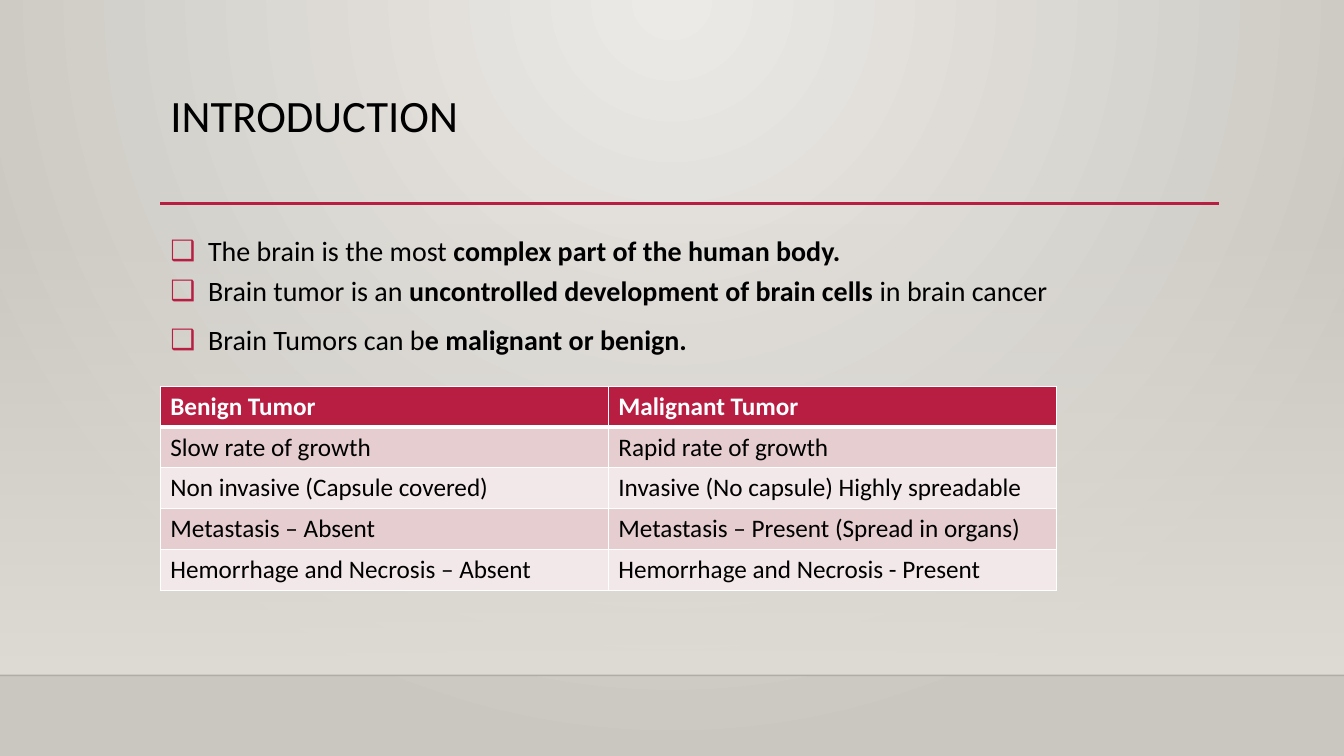
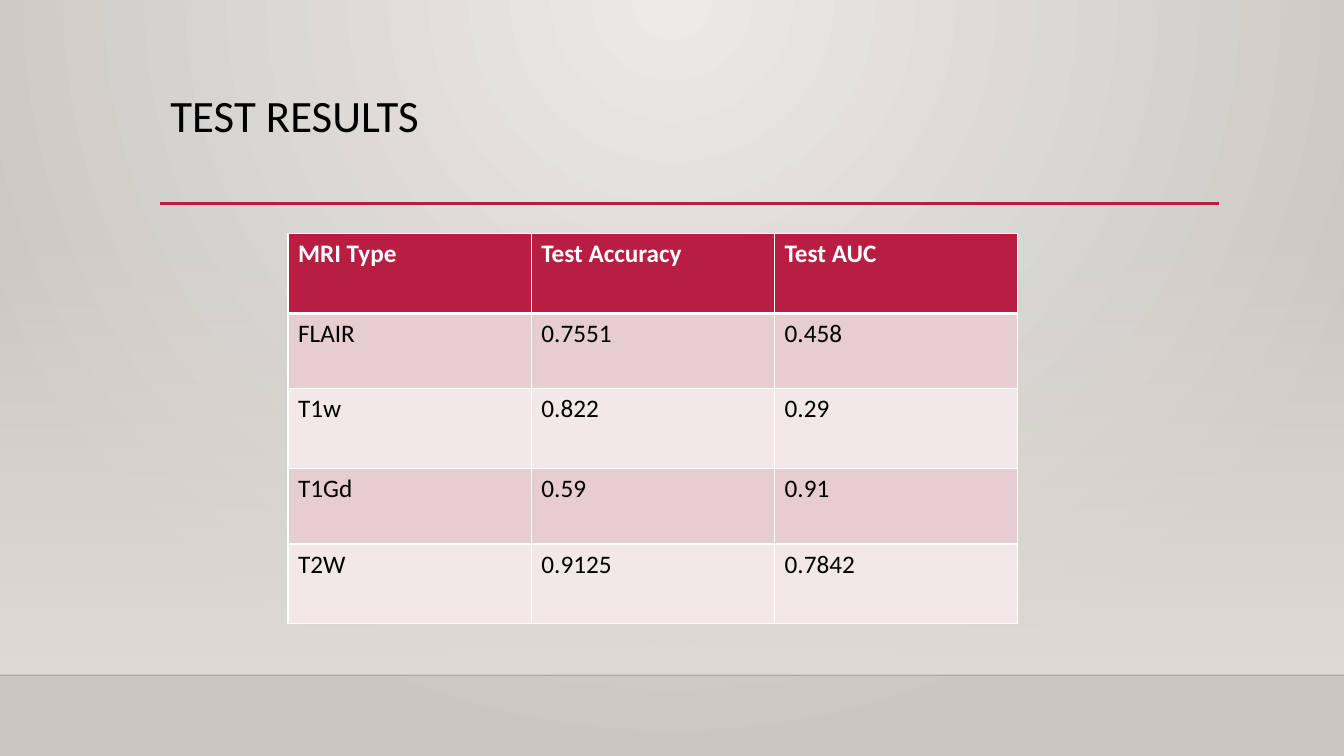
from dataclasses import dataclass

from lxml import etree
from pptx import Presentation
from pptx.dml.color import RGBColor
from pptx.enum.shapes import MSO_CONNECTOR, MSO_SHAPE
from pptx.enum.text import MSO_ANCHOR, MSO_AUTO_SIZE, PP_ALIGN
from pptx.oxml.ns import qn
from pptx.util import Cm, Pt

LINE = MSO_CONNECTOR.STRAIGHT
RECT = MSO_SHAPE.RECTANGLE
TOP = MSO_ANCHOR.TOP
FIXED = MSO_AUTO_SIZE.NONE
LEFT = PP_ALIGN.LEFT


@dataclass(frozen=True)
class Theme:
    # Colours
    black: str = "000000"
    white: str = "FFFFFF"
    red: str = "B71E42"
    rose: str = "E6CDCF"
    blush: str = "F3E8E9"
    light: str = "ECEAE7"
    stone: str = "CAC7C1"
    sand: str = "DFDBD5"
    edge: str = "000001"
    # Type
    font: str = "Calibri"
    title: int = 32
    body: int = 20
    cell: int = 18
    # Page, in centimetres
    wide: float = 33.87
    high: float = 19.05
    left: float = 4.04
    span: float = 26.67
    floor: float = 17.02


def rgb(code):
    return RGBColor.from_string(code)


def place(shape, x, y, w, h):
    shape.left, shape.top, shape.width, shape.height = Cm(x), Cm(y), Cm(w), Cm(h)


def blend(fill, *codes):
    fill.gradient()
    for stop, code in zip(fill.gradient_stops, codes):
        stop.color.rgb = rgb(code)


def fade(shape, share):
    """Set the opacity, in percent, of the first colour in a shape."""
    color = next(shape.element.iter(qn("a:srgbClr")))
    etree.SubElement(color, qn("a:alpha"), val=str(share * 1000))


class Deck:
    def __init__(self, theme):
        self.theme = theme
        self.prs = Presentation()
        self.prs.slide_width = Cm(theme.wide)
        self.prs.slide_height = Cm(theme.high)
        self.slide = None

    # Shared page: background, floor band, rule and title
    def page(self, title, layout):
        t = self.theme
        self.slide = self.prs.slides.add_slide(self.prs.slide_layouts[layout])
        self.glow()
        self.band(5.61, t.floor)
        self.line(0, t.wide, t.floor, t.edge, 1, 20)
        self.line(t.left, 30.73, 5.13, t.red, 2.5)
        tree = self.slide.shapes.element
        for holder in self.slide.placeholders:
            tree.append(holder.element)
        para = self.frame(self.slide.shapes.title, 2.24, 2.92).paragraphs[0]
        para.alignment, para.line_spacing = LEFT, 0.9
        self.run(para, title, t.title)

    def glow(self):
        blend(self.slide.background.fill, self.theme.light, self.theme.stone)
        lin = next(self.slide.element.iter(qn("a:lin")))
        ring = etree.Element(qn("a:path"), path="circle")
        etree.SubElement(ring, qn("a:fillToRect"),
                         l="43000", t="0", r="43000", b="100000")
        lin.getparent().replace(lin, ring)

    def band(self, top, base):
        t = self.theme
        band = self.slide.shapes.add_shape(
            RECT, 0, Cm(top), Cm(t.wide), Cm(base - top))
        band.shadow.inherit = False
        band.line.fill.background()
        blend(band.fill, t.sand, t.sand)
        band.fill.gradient_angle = 270
        fade(band, 0)

    def line(self, x1, x2, y, color, width, share=100):
        line = self.slide.shapes.add_connector(LINE, Cm(x1), Cm(y), Cm(x2), Cm(y))
        line.line.color.rgb = rgb(color)
        line.line.width = Pt(width)
        etree.SubElement(line.element.spPr, qn("a:effectLst"))
        if share < 100:
            fade(line, share)

    # Text
    def frame(self, holder, y, h):
        place(holder, self.theme.left, y, self.theme.span, h)
        frame = holder.text_frame
        frame.word_wrap, frame.auto_size = True, FIXED
        frame.vertical_anchor = TOP
        return frame

    def run(self, para, text, size, bold=False, color=None):
        run = para.add_run()
        run.text = text
        font = run.font
        font.name, font.size, font.bold = self.theme.font, Pt(size), bold
        font.color.rgb = rgb(color or self.theme.black)

    def list(self, items, y, h):
        """Each item is a gap above in points and its (text, bold) runs."""
        frame = self.frame(self.slide.placeholders[1], y, h)
        for i, (gap, parts) in enumerate(items):
            para = frame.add_paragraph() if i else frame.paragraphs[0]
            para.line_spacing, para.space_before = 1.2, Pt(gap)
            self.mark(para)
            for text, bold in parts:
                self.run(para, text, self.theme.body, bold)

    def mark(self, para):
        props = para._p.get_or_add_pPr()
        props.set("marL", str(Cm(0.95)))
        props.set("indent", str(-Cm(0.95)))
        color = etree.SubElement(props, qn("a:buClr"))
        etree.SubElement(color, qn("a:srgbClr"), val=self.theme.red)
        etree.SubElement(props, qn("a:buChar"), char="❑")

    # Tables
    def table(self, rows, x, y, wide, highs):
        t = self.theme
        count = len(rows[0])
        table = self.slide.shapes.add_table(
            len(rows), count, Cm(x), Cm(y), Cm(wide * count), Cm(sum(highs))).table
        for col in table.columns:
            col.width = Cm(wide)
        for r, (row, high) in enumerate(zip(rows, highs)):
            table.rows[r].height = Cm(high)
            head = r == 0
            fill = t.red if head else (t.blush, t.rose)[r % 2]
            for c, text in enumerate(row):
                cell = table.cell(r, c)
                self.rim(cell, L=1, R=1, T=3 if r == 1 else 1, B=3 if head else 1)
                cell.fill.solid()
                cell.fill.fore_color.rgb = rgb(fill)
                self.run(cell.text_frame.paragraphs[0], text, t.cell, head,
                         t.white if head else t.black)

    def rim(self, cell, **sides):
        props = cell._tc.get_or_add_tcPr()
        for side, width in sides.items():
            edge = etree.SubElement(props, qn("a:ln" + side), w=str(Pt(width)))
            fill = etree.SubElement(edge, qn("a:solidFill"))
            etree.SubElement(fill, qn("a:srgbClr"), val=self.theme.white)


def main():
    theme = Theme()
    deck = Deck(theme)

    # Introduction
    deck.page("INTRODUCTION", 1)
    deck.list([
        (0, [("The brain is the most", False),
             (" complex part of the human body.", True)]),
        (0, [("Brain tumor is an ", False),
             ("uncontrolled development of brain cells", True),
             (" in brain cancer", False)]),
        (6, [("Brain Tumors can b", False),
             ("e malignant or benign.", True)]),
    ], 5.59, 9.58)
    deck.table([
        ("Benign Tumor", "Malignant Tumor"),
        ("Slow rate of growth", "Rapid rate of growth"),
        ("Non invasive (Capsule covered)", "Invasive (No capsule) Highly spreadable"),
        ("Metastasis – Absent", "Metastasis – Present (Spread in organs)"),
        ("Hemorrhage and Necrosis – Absent", "Hemorrhage and Necrosis - Present"),
    ], theme.left, 9.73, 11.29, [1.03] * 5)

    # Test results
    deck.page("TEST RESULTS", 5)
    deck.table([
        ("MRI Type", "Test Accuracy", "Test AUC"),
        ("FLAIR", "0.7551", "0.458"),
        ("T1w", "0.822", "0.29"),
        ("T1Gd", "0.59", "0.91"),
        ("T2W", "0.9125", "0.7842"),
    ], 7.26, 5.89, 6.13, [2.01, 1.9, 2.01, 1.9, 2.01])

    deck.prs.save("out.pptx")


if __name__ == "__main__":
    main()
